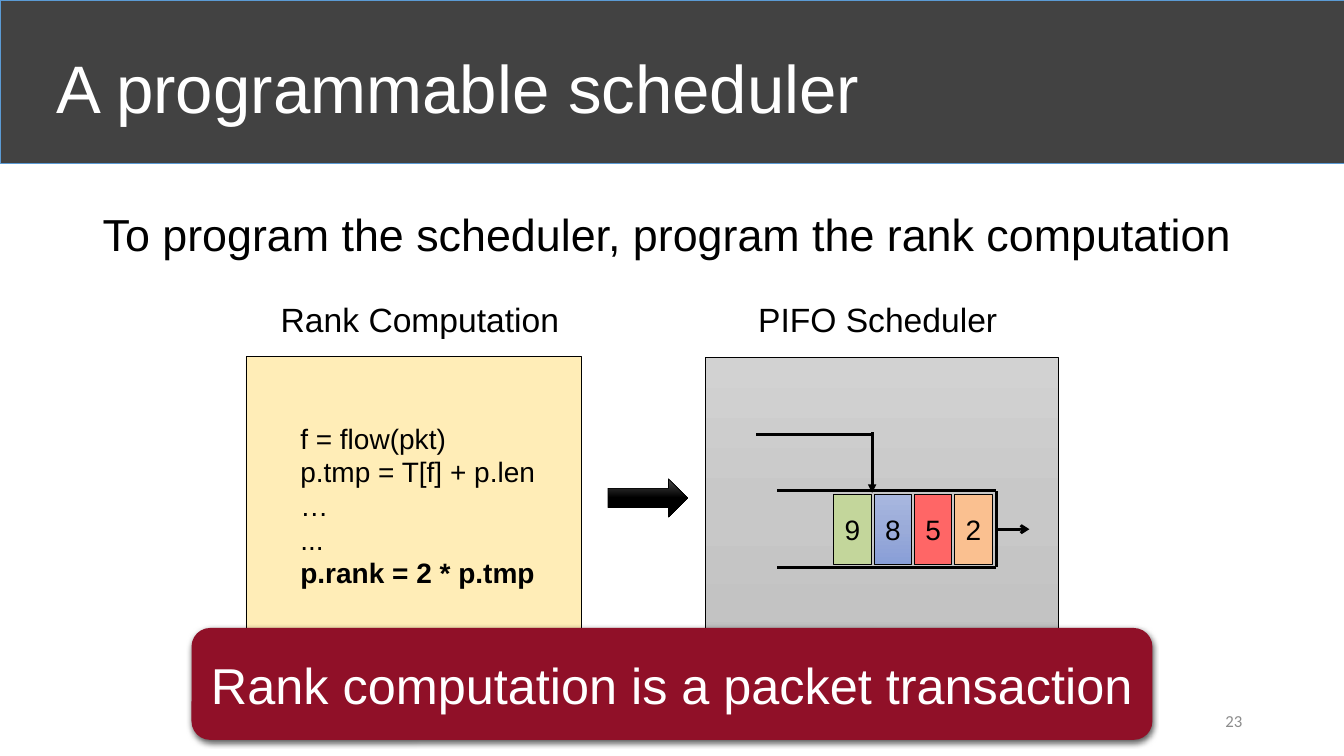
from lxml import etree
from pptx import Presentation
from pptx.dml.color import RGBColor
from pptx.enum.shapes import MSO_CONNECTOR, MSO_SHAPE
from pptx.enum.text import MSO_ANCHOR, PP_ALIGN
from pptx.oxml.ns import qn
from pptx.util import Inches, Pt

STRAIGHT = MSO_CONNECTOR.STRAIGHT
RECT, ROUNDED, ARROW = MSO_SHAPE.RECTANGLE, MSO_SHAPE.ROUNDED_RECTANGLE, MSO_SHAPE.RIGHT_ARROW
LEFT, CENTER, RIGHT = PP_ALIGN.LEFT, PP_ALIGN.CENTER, PP_ALIGN.RIGHT
TOP, MIDDLE = MSO_ANCHOR.TOP, MSO_ANCHOR.MIDDLE

COLORS = {
    "black": "000000", "white": "FFFFFF", "banner": "424242", "banner_edge": "5B9BD5",
    "code": "FFE699", "crimson": "901028", "number": "8C8C8C",
    "orange": "FAC090", "green": "C3D69B", "red": "FF6666",
}
GRADIENTS = {
    "arrow": ("4B4B4B", "000000", "000000"),
    "scheduler": ("D2D2D2", "C8C8C8", "C0C0C0"),
    "blue": ("A8B7DF", "9AABD9", "889ED7"),
}


def rgb(name):
    return RGBColor.from_string(COLORS[name])


def add_xml(parent, tag, **attributes):
    return etree.SubElement(parent, qn(tag), {key: str(value) for key, value in attributes.items()})


def fill_gradient(shape, hexes):
    """Fill from top to bottom with evenly spaced stops."""
    shape.fill.gradient()
    shape.fill.gradient_angle = 270
    stops = shape._element.spPr.find(qn("a:gradFill")).find(qn("a:gsLst"))
    for stop in list(stops):
        stops.remove(stop)
    for index, color in enumerate(hexes):
        stop = add_xml(stops, "a:gs", pos=index * 100000 // (len(hexes) - 1))
        add_xml(stop, "a:srgbClr", val=color)


def write(shape, lines, size, color="black", align=LEFT, anchor=TOP, font="Arial"):
    """Write one paragraph per (text, bold) pair."""
    frame = shape.text_frame
    frame.word_wrap = True
    frame.vertical_anchor = anchor
    for index, (text, bold) in enumerate(lines):
        para = frame.add_paragraph() if index else frame.paragraphs[0]
        para.alignment = align
        span = para.add_run()
        span.text = text
        span.font.name, span.font.size, span.font.bold = font, Pt(size), bold
        span.font.color.rgb = rgb(color)


def add_text(page, box, lines, size, **style):
    shape = page.shapes.add_textbox(*map(Inches, box))
    write(shape, lines, size, **style)
    return shape


def add_block(page, box, fill, kind=RECT, edge="black", weight=0.5):
    shape = page.shapes.add_shape(kind, *map(Inches, box))
    shape.shadow.inherit = False
    if fill in GRADIENTS:
        fill_gradient(shape, GRADIENTS[fill])
    else:
        shape.fill.solid()
        shape.fill.fore_color.rgb = rgb(fill)
    if edge:
        shape.line.color.rgb = rgb(edge)
        shape.line.width = Pt(weight)
    else:
        shape.line.fill.background()
    return shape


def add_line(page, start, end, arrowhead=None):
    line = page.shapes.add_connector(STRAIGHT, *map(Inches, start + end))
    line.line.color.rgb = rgb("black")
    line.line.width = Pt(2)
    if arrowhead:
        add_xml(line.line._get_or_add_ln(), "a:tailEnd", type=arrowhead)
    add_xml(line._element.spPr, "a:effectLst")


def add_banner(page, box, heading):
    left, top, width, height = box
    banner = add_block(page, box, "banner", edge="banner_edge")
    page.shapes._spTree.insert(2, banner._element)
    title = page.shapes.title
    title.left, title.top = Inches(left + 0.46), Inches(top + 0.13)
    title.width, title.height = Inches(11.5), Inches(height - 0.17)
    write(title, [(heading, False)], 48, color="white", anchor=MIDDLE)


def add_rank_panel(page, box):
    left, top, width, height = box
    panel = add_block(page, box, "code")
    add_xml(panel._element.spPr.find(qn("a:solidFill"))[0], "a:alpha", val=70000)
    add_text(page, (left + 0.06, top - 0.62, width, 0.5),
             [("Rank Computation", False)], 24, align=CENTER)
    code = [("f = flow(pkt)", False), ("p.tmp = T[f] + p.len", False), ("…", False),
            ("...", False), ("p.rank = 2 * p.tmp", True)]
    add_text(page, (left + 0.44, top + 0.59, 2.58, 1.78), code, 20)


def add_scheduler_panel(page, box):
    left, top, width, height = box
    add_block(page, box, "scheduler")
    add_text(page, (left + 0.04, top - 0.63, 3.33, 0.5),
             [("PIFO Scheduler", False)], 24, align=CENTER)

    queue_left, queue_right = left + 0.71, left + 2.88
    queue_top, queue_bottom = top + 1.32, top + 2.08
    middle = (queue_top + queue_bottom) / 2
    for y in (queue_top, queue_bottom):
        add_line(page, (queue_left, y), (queue_right, y))
    add_line(page, (queue_right, queue_bottom), (queue_right, queue_top))

    packets = [("9", "green"), ("8", "blue"), ("5", "red"), ("2", "orange")]
    for index, (rank, fill) in enumerate(packets):
        packet = add_block(page, (left + 1.27 + 0.4 * index, queue_top + 0.04, 0.37, 0.69),
                           fill, weight=0.75)
        write(packet, [(rank, False)], 20, align=CENTER, anchor=MIDDLE)

    insert_x, insert_y = left + 1.65, top + 0.76
    add_line(page, (left + 0.5, insert_y), (insert_x, insert_y))
    add_line(page, (insert_x, insert_y - 0.02), (insert_x, queue_top + 0.02), "triangle")
    add_line(page, (queue_right, middle), (queue_right + 0.33, middle), "arrow")


def add_callout(page, box, text):
    callout = add_block(page, box, "crimson", kind=ROUNDED, edge=None)
    effects = callout._element.spPr.find(qn("a:effectLst"))
    shadow = add_xml(effects, "a:outerShdw", blurRad=Pt(4.5), dist=Pt(1.5),
                     dir=5400000, rotWithShape=0)
    add_xml(add_xml(shadow, "a:srgbClr", val=COLORS["black"]), "a:alpha", val=63000)
    write(callout, [(text, False)], 36, color="white", align=CENTER, anchor=MIDDLE)


def main():
    deck = Presentation()
    deck.slide_width, deck.slide_height = Inches(13.33), Inches(7.5)
    page = deck.slides.add_slide(deck.slide_layouts.get_by_name("Title Only"))

    add_banner(page, (0, 0, 13.33, 1.62), "A programmable scheduler")
    message = add_text(page, (0.92, 2, 11.5, 0.8),
                       [("To program the scheduler, program the rank computation", False)], 32)
    message.text_frame.paragraphs[0].space_before = Pt(10)
    add_rank_panel(page, (2.44, 3.54, 3.33, 3.06))
    add_block(page, (6.03, 4.75, 0.79, 0.38), "arrow", kind=ARROW)
    add_scheduler_panel(page, (7, 3.55, 3.5, 2.99))
    add_text(page, (9.42, 6.95, 3, 0.4), [("23", False)], 12, color="number",
             align=RIGHT, anchor=MIDDLE, font="Calibri")
    add_callout(page, (1.9, 6.23, 9.53, 1.11), "Rank computation is a packet transaction")
    deck.save("out.pptx")


if __name__ == "__main__":
    main()
